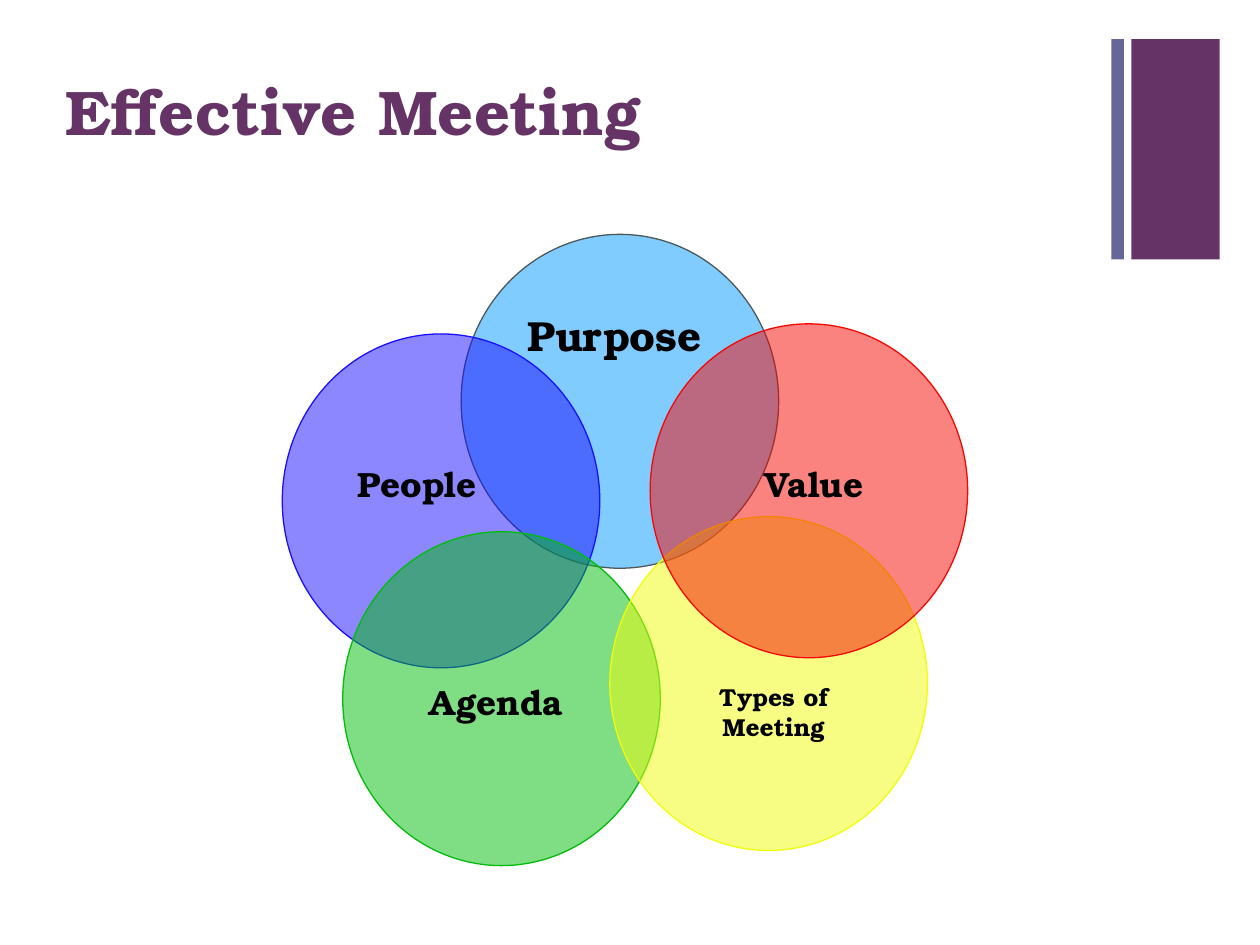
from lxml import etree
from pptx import Presentation
from pptx.dml.color import RGBColor
from pptx.enum import shapes, text
from pptx.oxml.ns import qn
from pptx.util import Inches, Pt

FONT = "TeX Gyre Bonum"
PLUM = RGBColor(0x66, 0x33, 0x66)
SLATE = RGBColor(0x66, 0x66, 0x99)
BLACK = RGBColor(0, 0, 0)
SKY = RGBColor(0x03, 0x99, 0xFF)
GRAY = RGBColor(0x4B, 0x59, 0x5B)
BLUE = RGBColor(0x1A, 0x0F, 0xFF)
GREEN = RGBColor(0x01, 0xBD, 0x0A)
YELLOW = RGBColor(0xF1, 0xFD, 0x09)
RED = RGBColor(0xF6, 0x08, 0x02)

CIRCLE_W, CIRCLE_H = 2.52, 2.65
LABEL_W, LABEL_H = 1.5, 0.5

CIRCLES = [
    (1.42, 0, SKY, GRAY),
    (0, 0.79, BLUE, BLUE),
    (0.48, 2.36, GREEN, GREEN),
    (2.6, 2.24, YELLOW, YELLOW),
    (2.92, 0.71, RED, RED),
]
LABELS = [
    ("People", 0.32, 1.73, 20),
    ("Purpose", 1.89, 0.55, 24),
    ("Value", 3.47, 1.73, 20),
    ("Types of Meeting", 3.15, 3.54, 14),
    ("Agenda", 0.95, 3.46, 20),
]


def box(x, y, w, h):
    return Inches(x), Inches(y), Inches(w), Inches(h)


def add_filled(s, kind, bounds, color):
    sp = s.shapes.add_shape(kind, *bounds)
    sp.shadow.inherit = False
    sp.fill.solid()
    sp.fill.fore_color.rgb = color
    sp.line.fill.background()
    return sp


def write(tf, words, size, color, align):
    tf.word_wrap = True
    tf.vertical_anchor = text.MSO_ANCHOR.MIDDLE
    p = tf.paragraphs[0]
    p.alignment = align
    r = p.add_run()
    r.text = words
    r.font.name = FONT
    r.font.size = Pt(size)
    r.font.bold = True
    r.font.color.rgb = color


def add_corner_bars(s, x, y, w, h):
    rect = shapes.MSO_SHAPE.RECTANGLE
    add_filled(s, rect, box(x + 0.16, y, w - 0.16, h), PLUM)
    add_filled(s, rect, box(x, y, 0.1, h), SLATE)


def place_title(s, x, y, w, h):
    sp = s.shapes.title
    sp.left, sp.top, sp.width, sp.height = box(x, y, w, h)
    write(sp.text_frame, "Effective Meeting", 36, PLUM, text.PP_ALIGN.LEFT)


def add_circle(s, x, y, color, line_color):
    bounds = box(x, y, CIRCLE_W, CIRCLE_H)
    sp = add_filled(s, shapes.MSO_SHAPE.OVAL, bounds, color)
    clr = sp._element.spPr.find(qn("a:solidFill"))[0]
    etree.SubElement(clr, qn("a:alpha")).set("val", "50000")
    sp.line.color.rgb = line_color
    sp.line.width = Pt(0.75)


def add_label(s, words, x, y, size):
    tf = s.shapes.add_textbox(*box(x, y, LABEL_W, LABEL_H)).text_frame
    tf.margin_left = tf.margin_right = tf.margin_top = tf.margin_bottom = 0
    write(tf, words, size, BLACK, text.PP_ALIGN.CENTER)


def add_venn(s, x, y):
    for dx, dy, color, line_color in CIRCLES:
        add_circle(s, x + dx, y + dy, color, line_color)
    for words, dx, dy, size in LABELS:
        add_label(s, words, x + dx, y + dy, size)


def main():
    prs = Presentation()
    prs.slide_width, prs.slide_height = Inches(10), Inches(7.5)
    s = prs.slides.add_slide(prs.slide_layouts[5])
    add_corner_bars(s, 8.82, 0.31, 0.86, 1.75)
    place_title(s, 0.42, 0.25, 9.58, 1.25)
    add_venn(s, 2.24, 1.86)
    prs.save("out.pptx")


if __name__ == "__main__":
    main()
